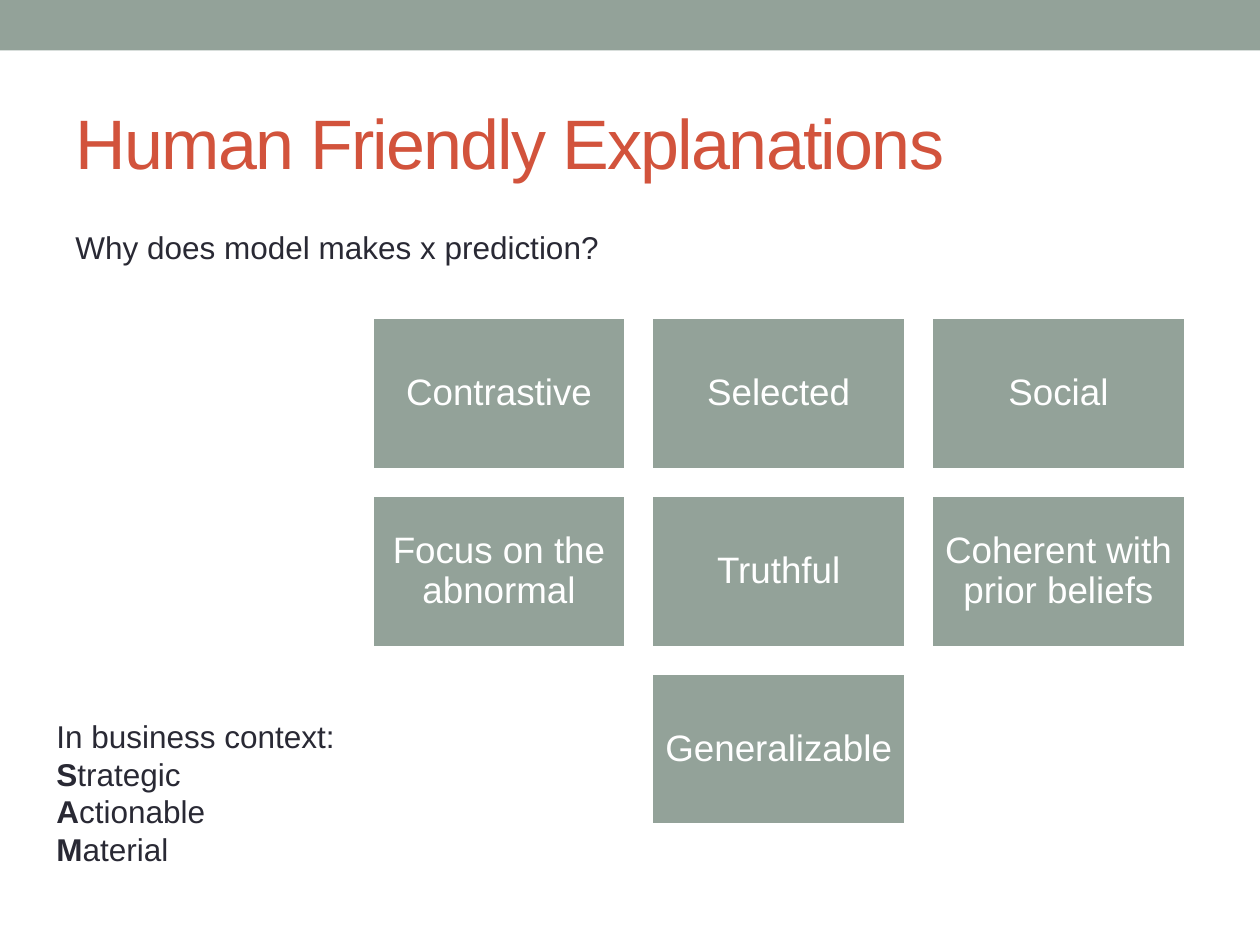
from pptx import Presentation
from pptx.dml.color import RGBColor
from pptx.enum.shapes import MSO_SHAPE
from pptx.enum.text import MSO_ANCHOR, MSO_AUTO_SIZE, PP_ALIGN
from pptx.util import Inches, Pt

RECTANGLE = MSO_SHAPE.RECTANGLE
MIDDLE = MSO_ANCHOR.MIDDLE
NO_AUTOFIT = MSO_AUTO_SIZE.NONE
LEFT, CENTER = PP_ALIGN.LEFT, PP_ALIGN.CENTER

SAGE = RGBColor(0x93, 0xA2, 0x99)
BRICK = RGBColor(0xD2, 0x53, 0x3C)
INK = RGBColor(0x29, 0x29, 0x34)
WHITE = RGBColor(0xFF, 0xFF, 0xFF)

FONT = "Arial"
TITLE_ONLY = 5
COLUMNS = 3
GAP = 0.2
TILE_INSET = Inches(0.09)

QUALITIES = ["Contrastive", "Selected", "Social",
             "Focus on the abnormal", "Truthful", "Coherent with prior beliefs",
             "Generalizable"]
BUSINESS_GOALS = ["Strategic", "Actionable", "Material"]


def style_run(run, size, color, bold=False):
    """Apply the slide's font to a run."""
    run.font.name = FONT
    run.font.size = Pt(size)
    run.font.color.rgb = color
    run.font.bold = bold


def add_block(slide, box):
    """Add a flat sage rectangle filling the box."""
    block = slide.shapes.add_shape(RECTANGLE, *map(Inches, box))
    block.shadow.inherit = False
    block.fill.solid()
    block.fill.fore_color.rgb = SAGE
    block.line.fill.background()
    return block


def add_title(slide, box, wording):
    """Place and format the title placeholder."""
    title = slide.shapes.title
    title.left, title.top, title.width, title.height = map(Inches, box)
    frame = title.text_frame
    frame.text = wording
    frame.auto_size = NO_AUTOFIT
    frame.vertical_anchor = MIDDLE
    heading = frame.paragraphs[0]
    heading.alignment = LEFT
    run = heading.runs[0]
    style_run(run, 40, BRICK)
    run.font._element.set("spc", "-100")


def add_note(slide, box, lead, initialed=()):
    """Add a lead line followed by words with bold initials."""
    frame = slide.shapes.add_textbox(*map(Inches, box)).text_frame
    frame.word_wrap = True
    frame.text = lead
    style_run(frame.paragraphs[0].runs[0], 18, INK)
    for word in initialed:
        line = frame.add_paragraph()
        for part, bold in ((word[0], True), (word[1:], False)):
            run = line.add_run()
            run.text = part
            style_run(run, 18, INK, bold)


def add_tile(slide, box, quality):
    """Add one quality as a white-edged tile."""
    tile = add_block(slide, box)
    tile.line.color.rgb = WHITE
    tile.line.width = Pt(2.08)
    frame = tile.text_frame
    frame.word_wrap = True
    frame.vertical_anchor = MIDDLE
    frame.margin_left = frame.margin_right = TILE_INSET
    frame.margin_top = frame.margin_bottom = TILE_INSET
    frame.text = quality
    label = frame.paragraphs[0]
    label.alignment = CENTER
    label.line_spacing = 0.9
    style_run(label.runs[0], 21, WHITE)


def add_tile_grid(slide, box, qualities):
    """Lay tiles out in rows, centring a short last row."""
    left, top, width, height = box
    rows = [qualities[i:i + COLUMNS] for i in range(0, len(qualities), COLUMNS)]
    tile_width = (width - GAP * (COLUMNS - 1)) / COLUMNS
    tile_height = (height - GAP * (len(rows) - 1)) / len(rows)
    for row, members in enumerate(rows):
        offset = (COLUMNS - len(members)) / 2
        for column, quality in enumerate(members):
            x = left + (column + offset) * (tile_width + GAP)
            y = top + row * (tile_height + GAP)
            add_tile(slide, (x, y, tile_width, tile_height), quality)


def main():
    """Build and save the slide."""
    deck = Presentation()
    deck.slide_width, deck.slide_height = Inches(10), Inches(7.5)
    slide = deck.slides.add_slide(deck.slide_layouts[TITLE_ONLY])
    add_block(slide, (0, 0, 10, 0.4))
    add_title(slide, (0.5, 0.58, 9, 1.08), "Human Friendly Explanations")
    add_tile_grid(slide, (2.95, 2.52, 6.46, 4.03), QUALITIES)
    add_note(slide, (0.35, 5.64, 4.17, 1.31), "In business context:", BUSINESS_GOALS)
    add_note(slide, (0.5, 1.76, 5.2, 0.4), "Why does model makes x prediction?")
    deck.save("out.pptx")


if __name__ == "__main__":
    main()
